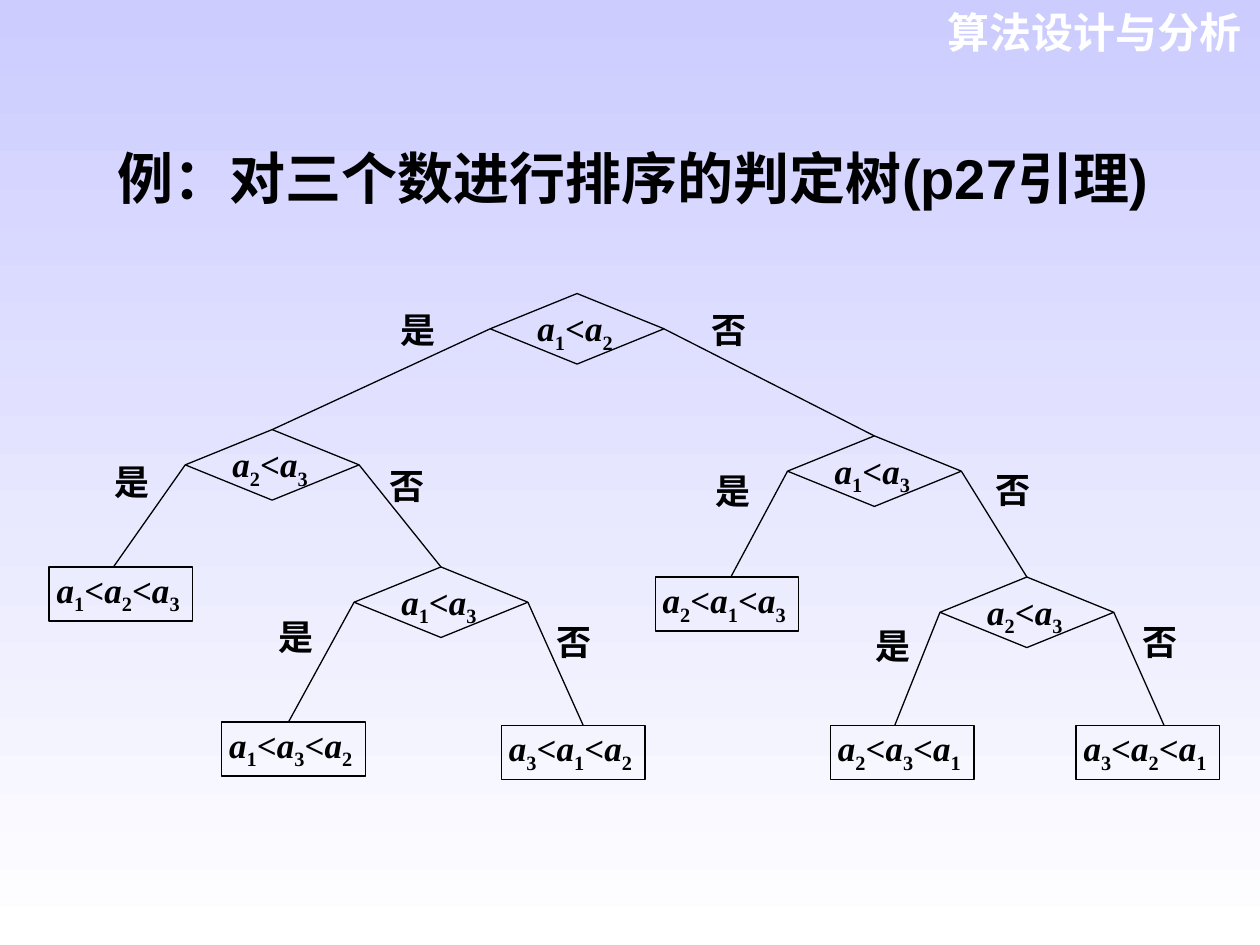
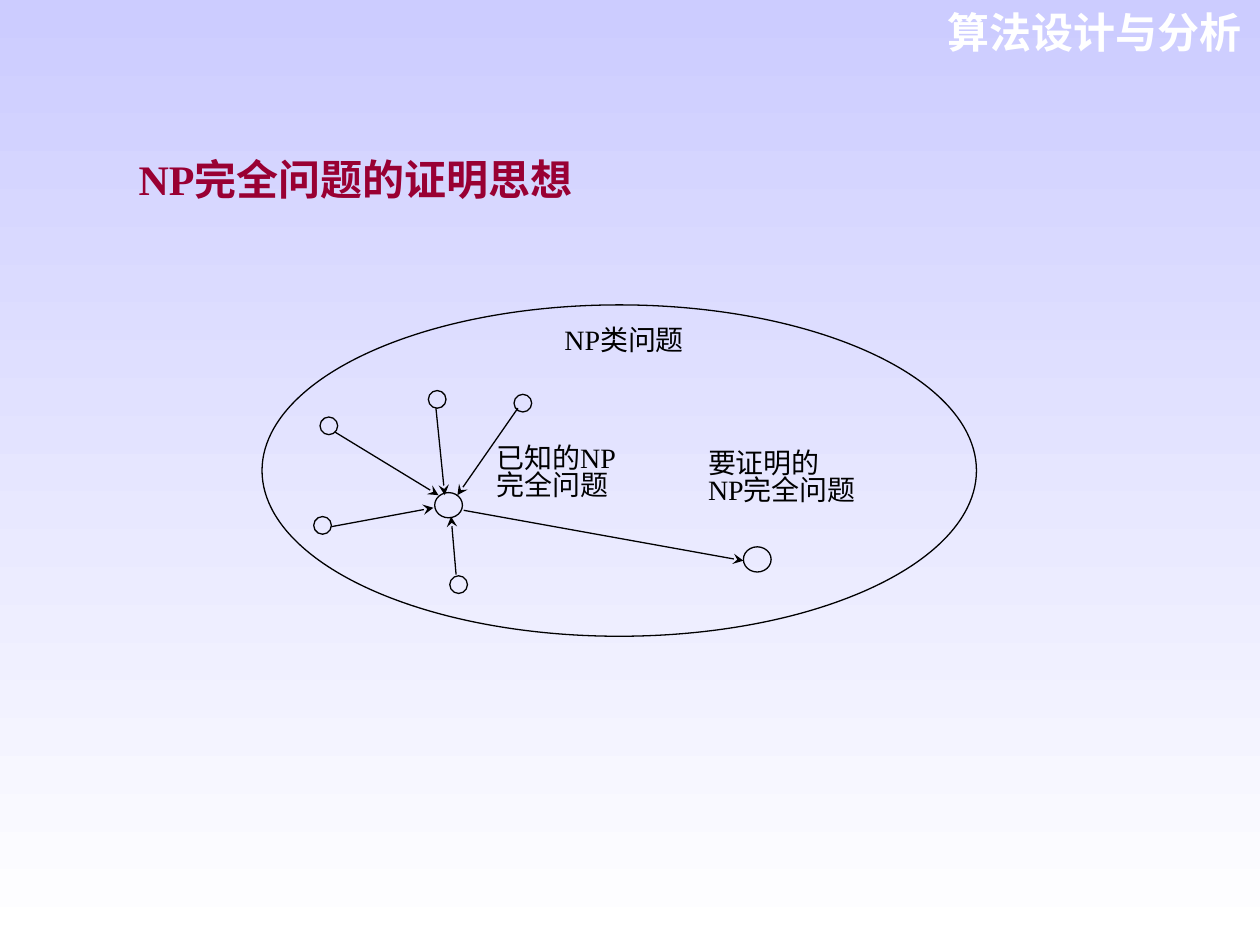
from dataclasses import dataclass
from typing import Optional

from lxml import etree
from pptx import Presentation
from pptx.dml.color import RGBColor
from pptx.enum import shapes, text
from pptx.oxml.ns import qn
from pptx.util import Inches, Pt

# Shared style
LAVENDER = RGBColor(0xCC, 0xCC, 0xFF)
WHITE = RGBColor(0xFF, 0xFF, 0xFF)
BLACK = RGBColor(0x00, 0x00, 0x00)
CRIMSON = RGBColor(0x99, 0x00, 0x33)
SANS, SERIF, CJK = "Arial", "Times New Roman", "Noto Sans CJK SC"
LINE_WIDTH = Pt(0.75)
TITLE_INSETS = (0.1, 0.05, 0.1, 0.05)
NO_INSETS = (0, 0, 0, 0)

# Tree sizes
DIAMOND_W, DIAMOND_H = 1.38, 0.56
LEAF_W, LEAF_H = 1.14, 0.43
SHAPE = shapes.MSO_SHAPE


@dataclass
class Ordering:
    """Leaf of the decision tree; entry_x is where its branch arrives."""
    formula: str
    left: float
    top: float
    entry_x: float


@dataclass
class Decision:
    """Comparison with its two branches and the places of their labels."""
    formula: str
    left: float
    top: float
    yes: "Decision | Ordering"
    no: "Decision | Ordering"
    yes_at: tuple[float, float]
    no_at: tuple[float, float]


@dataclass
class Problem:
    """Small circle and the arrow that reduces it to the known problem."""
    left: float
    top: float
    start: tuple[float, float]
    end: tuple[float, float]


TREE = Decision(
    "a1<a2", 3.89, 2.33,
    yes=Decision(
        "a2<a3", 1.47, 3.41,
        yes=Ordering("a1<a2<a3", 0.39, 4.5, 0.9),
        no=Decision(
            "a1<a3", 2.81, 4.5,
            yes=Ordering("a1<a3<a2", 1.76, 5.73, 2.29),
            no=Ordering("a3<a1<a2", 3.98, 5.76, 4.63),
            yes_at=(2.21, 4.95), no_at=(4.42, 4.99)),
        yes_at=(0.91, 3.72), no_at=(3.09, 3.75)),
    no=Decision(
        "a1<a3", 6.25, 3.46,
        yes=Ordering("a2<a1<a3", 5.2, 4.58, 5.8),
        no=Decision(
            "a2<a3", 7.46, 4.58,
            yes=Ordering("a2<a3<a1", 6.59, 5.76, 7.1),
            no=Ordering("a3<a2<a1", 8.54, 5.76, 9.24),
            yes_at=(6.95, 5.02), no_at=(9.07, 4.99)),
        yes_at=(5.68, 3.79), no_at=(7.9, 3.78)),
    yes_at=(3.18, 2.51), no_at=(5.65, 2.51))

PROBLEMS = [
    Problem(2.54, 3.31, (2.66, 3.43), (3.48, 3.93)),
    Problem(2.49, 4.1, (2.63, 4.18), (3.44, 4.03)),
    Problem(3.57, 4.57, (3.62, 4.56), (3.58, 4.1)),
    Problem(3.4, 3.1, (3.46, 3.24), (3.53, 3.93)),
    Problem(4.08, 3.13, (4.11, 3.24), (3.63, 3.93)),
]


# Text helpers
def place(sp, left: float, top: float, width: float, height: float) -> None:
    sp.left, sp.top = Inches(left), Inches(top)
    sp.width, sp.height = Inches(width), Inches(height)


def set_frame(tf, insets: tuple[float, float, float, float]) -> None:
    tf.word_wrap = True
    tf.auto_size = text.MSO_AUTO_SIZE.NONE
    tf.vertical_anchor = text.MSO_ANCHOR.TOP
    tf.margin_left, tf.margin_top, tf.margin_right, tf.margin_bottom = map(Inches, insets)


def set_font(p, size: float, color: RGBColor, name: str, bold: bool,
             align=text.PP_ALIGN.LEFT, spacing: float = 1.0) -> None:
    p.alignment, p.line_spacing = align, spacing
    font = p.font
    font.size, font.bold, font.name = Pt(size), bold, name
    font.color.rgb = color
    etree.SubElement(font._element, qn("a:ea"), typeface=CJK)


def add_label(slide, lines: list[str], left: float, top: float, width: float, height: float,
              size: float, color: RGBColor = BLACK, name: str = SERIF, bold: bool = False,
              insets=NO_INSETS, align=text.PP_ALIGN.LEFT, spacing: float = 1.0) -> None:
    sp = slide.shapes.add_textbox(0, 0, 0, 0)
    place(sp, left, top, width, height)
    tf = sp.text_frame
    set_frame(tf, insets)
    tf.text = "\n".join(lines)
    for p in tf.paragraphs:
        set_font(p, size, color, name, bold, align, spacing)


def write_formula(sp, formula: str, insets, spacing: float) -> None:
    """Letters in italics, digits as subscripts."""
    set_frame(sp.text_frame, insets)
    p = sp.text_frame.paragraphs[0]
    set_font(p, 20, BLACK, SERIF, True, spacing=spacing)
    for char in formula:
        r = p.add_run()
        r.text = char
        r.font.italic = char.isalpha()
        if char.isdigit():
            r.font._element.set("baseline", "-25000")


# Drawing helpers
def add_outline(slide, kind, left: float, top: float, width: float, height: float):
    sp = slide.shapes.add_shape(kind, 0, 0, 0, 0)
    place(sp, left, top, width, height)
    sp.shadow.inherit = False
    sp.fill.background()
    sp.line.color.rgb, sp.line.width = BLACK, LINE_WIDTH
    return sp


def add_line(slide, start: tuple[float, float], end: tuple[float, float], arrow: bool = False):
    line = slide.shapes.add_connector(
        shapes.MSO_CONNECTOR.STRAIGHT, *map(Inches, start + end))
    line.line.color.rgb, line.line.width = BLACK, LINE_WIDTH
    if arrow:
        etree.SubElement(line.line._get_or_add_ln(), qn("a:tailEnd"), type="stealth")
    etree.SubElement(line._element.spPr, qn("a:effectLst"))
    return line


def add_titled_slide(prs, title: str, at: tuple[float, float, float, float],
                     size: float, color: RGBColor, name: str):
    slide = prs.slides.add_slide(prs.slide_layouts[5])
    add_label(slide, ["算法设计与分析"], 7.24, 0, 2.71, 0.5, 24, WHITE, SANS, True,
              TITLE_INSETS, text.PP_ALIGN.RIGHT)
    sp = slide.shapes.title
    place(sp, *at)
    set_frame(sp.text_frame, TITLE_INSETS)
    sp.text_frame.text = title
    set_font(sp.text_frame.paragraphs[0], size, color, name, True)
    return slide


def draw_node(slide, node: Decision | Ordering):
    """Draw a node with everything below it and return its shape."""
    if isinstance(node, Ordering):
        sp = add_outline(slide, SHAPE.RECTANGLE, node.left, node.top, LEAF_W, LEAF_H)
        write_formula(sp, node.formula, (0.06, 0.01, 0.02, 0.01), 0.96)
        return sp
    sp = add_outline(slide, SHAPE.DIAMOND, node.left, node.top, DIAMOND_W, DIAMOND_H)
    write_formula(sp, node.formula, (0.03, 0, 0, 0), 0.8)
    branches = ((node.yes, "是", node.yes_at, 1), (node.no, "否", node.no_at, 3))
    for child, answer, at, side in branches:
        child_sp = draw_node(slide, child)
        entry_x: Optional[float] = getattr(child, "entry_x", None)
        line = add_line(slide, (node.left, node.top), (entry_x or child.left, child.top))
        line.begin_connect(sp, side)
        if entry_x is None:
            line.end_connect(child_sp, 0)
        add_label(slide, [answer], *at, 0.34, 0.28, 20, bold=True, spacing=0.8)
    return sp


# Slides
def build_decision_tree(prs) -> None:
    slide = add_titled_slide(prs, "例：对三个数进行排序的判定树(p27引理)",
                             (0.83, 1.09, 9.17, 0.64), 32, BLACK, SANS)
    draw_node(slide, TREE)


def build_np_proof(prs) -> None:
    slide = add_titled_slide(prs, "NP完全问题的证明思想",
                             (1, 1.17, 8.5, 0.5), 24, CRIMSON, SERIF)
    add_outline(slide, SHAPE.OVAL, 2.08, 2.42, 5.67, 2.63)
    add_label(slide, ["NP类问题"], 4.48, 2.56, 1.15, 0.32, 16)

    # Known problem, and the one to be proved
    for left, top in ((3.45, 3.91), (5.9, 4.34)):
        add_outline(slide, SHAPE.OVAL, left, top, 0.22, 0.2)
    add_line(slide, (3.68, 4.05), (5.9, 4.45), arrow=True)
    add_label(slide, ["已知的NP", "完全问题"], 3.94, 3.55, 1.14, 0.48, 16, spacing=0.8)
    add_label(slide, ["要证明的", "NP完全问题"], 5.62, 3.59, 1.27, 0.48, 16, spacing=0.8)

    # Problems that reduce to the known one
    for problem in PROBLEMS:
        add_outline(slide, SHAPE.OVAL, problem.left, problem.top, 0.14, 0.14)
        add_line(slide, problem.start, problem.end, arrow=True)


def main() -> None:
    prs = Presentation()
    prs.slide_width, prs.slide_height = Inches(10), Inches(7.5)
    fill = prs.slide_master.background.fill
    fill.gradient()
    fill.gradient_angle = 270
    for stop, color, position in zip(fill.gradient_stops, (LAVENDER, WHITE), (0, 1)):
        stop.color.rgb, stop.position = color, position
    build_decision_tree(prs)
    build_np_proof(prs)
    prs.save("out.pptx")


if __name__ == "__main__":
    main()
